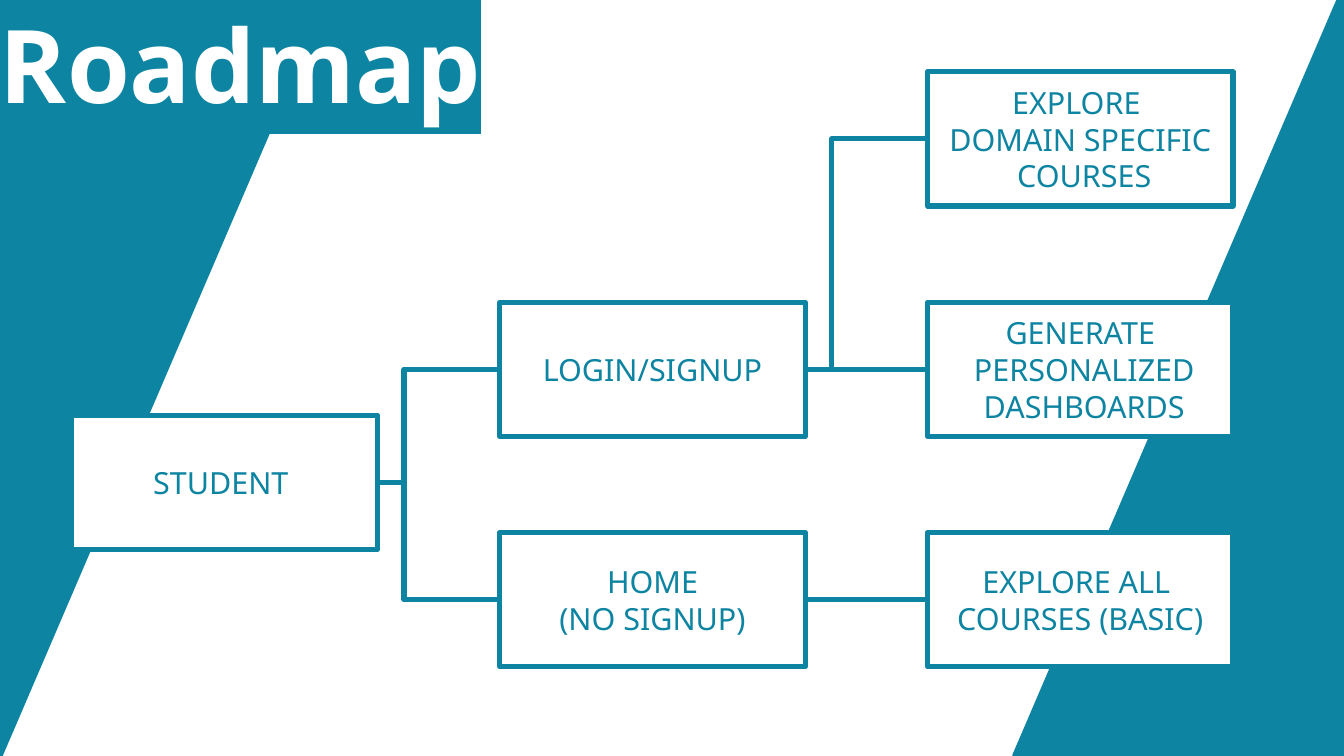
from lxml.etree import SubElement
from pptx import Presentation
from pptx.dml.color import RGBColor
from pptx.enum.shapes import MSO_CONNECTOR, MSO_SHAPE
from pptx.enum.text import MSO_ANCHOR, PP_ALIGN
from pptx.oxml.ns import qn
from pptx.util import Pt

TEAL, WHITE, FONT = "0D84A1", "FFFFFF", "Noto Sans"
WIDE, HIGH = 793.4, 446.4
NODES = {
    "student": (0, 1.49, "STUDENT "),
    "login": (1, 1, "LOGIN/SIGNUP"),
    "home": (1, 2, "HOME\n(NO SIGNUP)"),
    "domain": (2, 0, "EXPLORE \nDOMAIN SPECIFIC\n COURSES"),
    "board": (2, 1, "GENERATE\n PERSONALIZED\n DASHBOARDS"),
    "basic": (2, 2, "EXPLORE ALL \nCOURSES (BASIC)"),
}
LINKS = [("student", "login"), ("student", "home"), ("home", "basic"),
         ("login", "domain"), ("login", "board")]


def tint(text):
    """Turn a hex string into a colour."""
    return RGBColor.from_string(text)


def paint(shape, fill):
    """Give a shape its fill and the teal outline, without shadow."""
    shape.shadow.inherit = False
    shape.fill.solid()
    shape.fill.fore_color.rgb = tint(fill)
    stroke(shape.line)


def stroke(line):
    """Set a teal line of three points with round joins."""
    line.color.rgb = tint(TEAL)
    line.width = Pt(3)
    SubElement(line._ln, qn("a:round"))


def style(para, size, color, bold=False):
    """Format every run of a paragraph."""
    for run in para.runs:
        font = run.font
        font.name, font.size, font.bold = FONT, Pt(size), bold
        font.color.rgb = tint(color)


def band(slide, left, width, lean, flip):
    """Draw a slanted band down one side, turned half round when flipped."""
    right = left + width
    spots = [(right, 0), (right, HIGH), (left, HIGH), (right - lean, 0)]
    if flip:
        spots = [(left + right - x, HIGH - y) for x, y in spots]
    ends = [(Pt(x), Pt(y)) for x, y in spots]
    form = slide.shapes.build_freeform(*ends[0], scale=1)
    form.add_line_segments(ends[1:], close=True)
    paint(form.convert_to_shape(), TEAL)


def node(slide, left, top, width, height, text):
    """Draw one labelled step of the map."""
    box = slide.shapes.add_shape(
        MSO_SHAPE.RECTANGLE, Pt(left), Pt(top), Pt(width), Pt(height))
    paint(box, WHITE)
    frame = box.text_frame
    frame.word_wrap = False
    frame.vertical_anchor = MSO_ANCHOR.MIDDLE
    frame.margin_left = frame.margin_right = Pt(8.6)
    frame.margin_top = frame.margin_bottom = Pt(5)
    frame.text = text
    for para in frame.paragraphs:
        para.alignment = PP_ALIGN.CENTER
        style(para, 18, TEAL)
    return box


def link(slide, start, end):
    """Join the right side of one step to the left side of the next."""
    level = start.top == end.top
    kind = MSO_CONNECTOR.STRAIGHT if level else MSO_CONNECTOR.ELBOW
    wire = slide.shapes.add_connector(
        kind, start.left + start.width, start.top + start.height // 2,
        end.left, end.top + end.height // 2)
    wire.begin_connect(start, 3)
    wire.end_connect(end, 1)
    stroke(wire.line)
    props = wire._element.spPr
    SubElement(props, qn("a:effectLst"))
    if not level:
        bends = props.find(qn("a:prstGeom")).get_or_add_avLst()
        SubElement(bends, qn("a:gd"), name="adj1", fmla="val 21700")


def chart(slide, left, top, across, down):
    """Place the steps on a grid and join them."""
    boxes = {
        key: node(slide, left + col * across, top + row * down, 180.4, 79.2, text)
        for key, (col, row, text) in NODES.items()
    }
    for start, end in LINKS:
        link(slide, boxes[start], boxes[end])


def title(slide, left, top, width, height, text):
    """Write the highlighted title."""
    box = slide.shapes.add_textbox(Pt(left), Pt(top), Pt(width), Pt(height))
    frame = box.text_frame
    frame.word_wrap = True
    frame.vertical_anchor = MSO_ANCHOR.MIDDLE
    frame.margin_left = frame.margin_right = 0
    frame.margin_top = frame.margin_bottom = 0
    frame.text = text
    para = frame.paragraphs[0]
    para.line_spacing = 1.15
    style(para, 60, WHITE, True)
    props = para.runs[0].font._element
    mark = SubElement(props, qn("a:highlight"))
    SubElement(mark, qn("a:srgbClr"), val=TEAL)
    props.find(qn("a:solidFill")).addnext(mark)


def main():
    """Build the roadmap slide."""
    deck = Presentation()
    deck.slide_width, deck.slide_height = Pt(WIDE), Pt(HIGH)
    slide = deck.slides.add_slide(deck.slide_layouts[6])
    band(slide, 599, 194.4, 2.9, False)
    band(slide, -2.9, 194.4, 2.9, True)
    chart(slide, 42.5, 42.5, 252.5, 136)
    title(slide, 0, -62, 288, 188, "Roadmap")
    deck.save("out.pptx")


if __name__ == "__main__":
    main()
